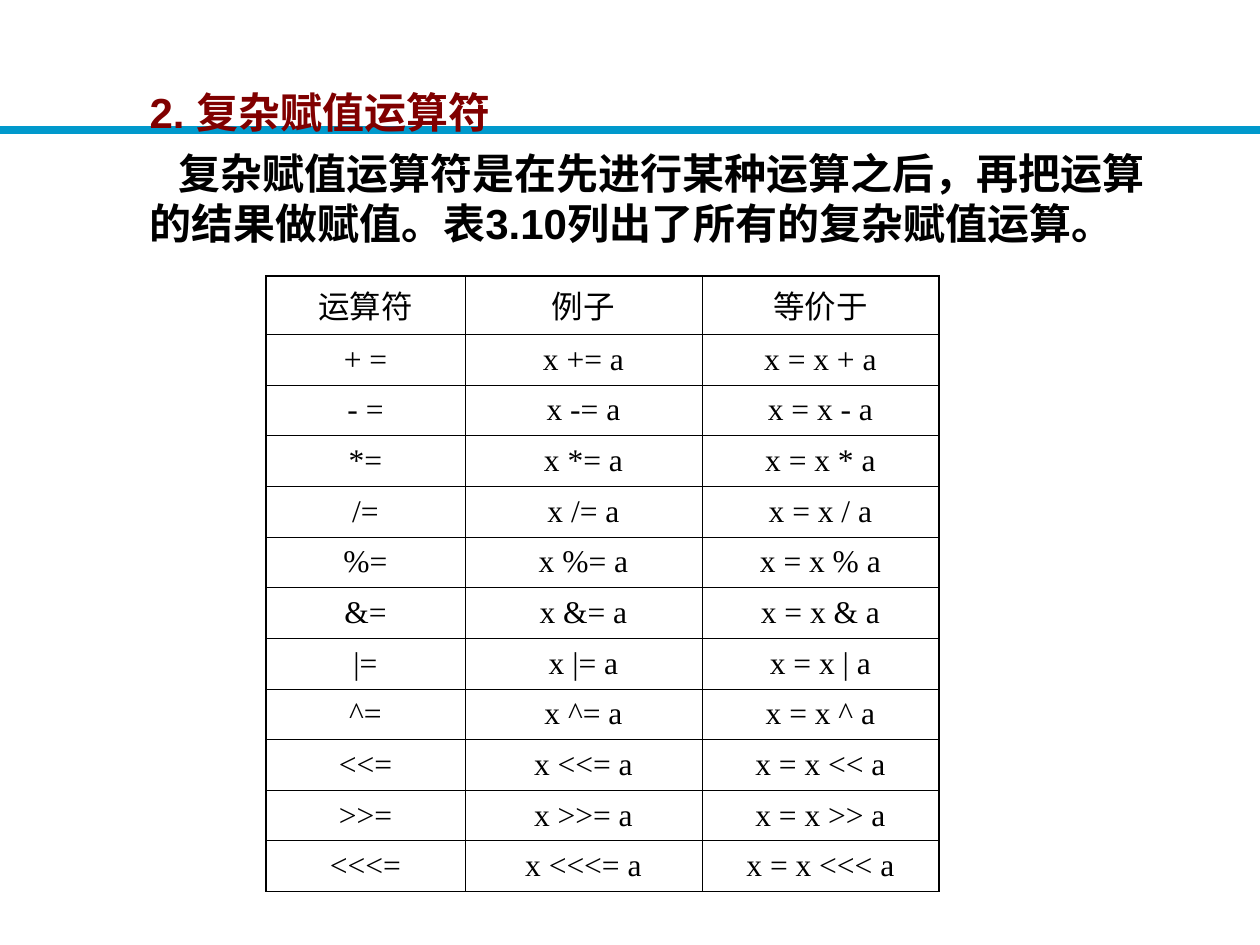
from lxml.etree import SubElement
from pptx import Presentation
from pptx.dml.color import RGBColor
from pptx.enum.shapes import MSO_CONNECTOR as Connector
from pptx.enum.text import MSO_ANCHOR as Anchor, MSO_AUTO_SIZE as AutoSize, PP_ALIGN as Align
from pptx.oxml import parse_xml
from pptx.oxml.ns import nsdecls, qn
from pptx.util import Emu, Pt

PX = 914400 // 126
WIDTH, HEIGHT = 1260, 945
HEADING, INK, RULE = "800000", "000000", "0099CC"
OUTER, HEADER, INNER = 1.08, 0.45, 0.34
OPERATORS = ["+", "-", "*", "/", "%", "&", "|", "^", "<<", ">>", "<<<"]
SPACED = {"+", "-"}


def px(n):
    """Turn pixels into EMU."""
    return Emu(n * PX)


def rgb(code):
    """Turn a hex string into a colour."""
    return RGBColor.from_string(code)


class Deck:
    """Hold the text style and the current slide."""

    def __init__(self, s):
        """Start drawing on a slide."""
        self.s = s
        self.text_font, self.text_size = "Arial", 24
        self.table_font, self.table_size = "Times New Roman", 18

    def style(self, p, font, size, color, bold):
        """Format every run of a paragraph."""
        for r in p.runs:
            r.font.name, r.font.size, r.font.bold = font, Pt(size), bold
            r.font.color.rgb = rgb(color)

    def fill_text(self, sp, text, color, indent=0):
        """Write a bold left-aligned paragraph into a shape."""
        tf = sp.text_frame
        tf.text = text
        tf.word_wrap, tf.auto_size = True, AutoSize.NONE
        tf.vertical_anchor = Anchor.TOP
        p = tf.paragraphs[0]
        p.alignment = Align.LEFT
        p.space_before = Pt(0)
        if indent:
            p._p.get_or_add_pPr().set("indent", str(px(indent)))
        self.style(p, self.text_font, self.text_size, color, True)

    def title(self, text, x, y, w, h):
        """Place the slide title."""
        sp = self.s.shapes.title
        sp.left, sp.top, sp.width, sp.height = map(px, (x, y, w, h))
        self.fill_text(sp, text, HEADING)

    def body(self, text, x, y, w, h, indent):
        """Add a body paragraph with an indented first line."""
        sp = self.s.shapes.add_textbox(*map(px, (x, y, w, h)))
        self.fill_text(sp, text, INK, indent)

    def rule(self, y, weight):
        """Draw a full-width rule behind everything else."""
        c = self.s.shapes.add_connector(Connector.STRAIGHT, 0, px(y), px(WIDTH), px(y))
        c.line.color.rgb, c.line.width = rgb(RULE), Pt(weight)
        SubElement(c._element.spPr, qn("a:effectLst"))
        self.s.shapes._spTree.insert(2, c._element)

    def borders(self, cell, weights):
        """Set the left, right, top and bottom borders of a cell."""
        tcPr = cell._tc.get_or_add_tcPr()
        for i, (side, weight) in enumerate(zip("LRTB", weights)):
            tcPr.insert(i, parse_xml(
                f'<a:ln{side} {nsdecls("a")} w="{int(Pt(weight))}"><a:solidFill>'
                f'<a:srgbClr val="{INK}"/></a:solidFill></a:ln{side}>'))

    def table(self, rows, x, y, widths, h):
        """Add a ruled table of centred text."""
        last_row, last_col = len(rows) - 1, len(widths) - 1
        frame = self.s.shapes.add_table(
            len(rows), len(widths), px(x), px(y), px(sum(widths)), px(h))
        t = frame.table
        t.first_row = t.horz_banding = False
        for column, w in zip(t.columns, widths):
            column.width = px(w)
        for i, row in enumerate(rows):
            for j, text in enumerate(row):
                cell = t.cell(i, j)
                cell.text_frame.text = text
                cell.vertical_anchor = Anchor.MIDDLE
                cell.fill.background()
                p = cell.text_frame.paragraphs[0]
                p.alignment = Align.CENTER
                self.style(p, self.table_font, self.table_size, INK, False)
                inner = HEADER if i == 0 else INNER
                self.borders(cell, (
                    OUTER if j == 0 else inner,
                    OUTER if j == last_col else inner,
                    OUTER if i == 0 else HEADER if i == 1 else INNER,
                    OUTER if i == last_row else inner))


def main():
    """Build the slide on compound assignment operators."""
    prs = Presentation()
    prs.slide_width, prs.slide_height = px(WIDTH), px(HEIGHT)
    deck = Deck(prs.slides.add_slide(prs.slide_layouts[5]))
    deck.rule(130, 4.5)
    deck.title("2. 复杂赋值运算符", 137, 80, 1053, 62)
    deck.body("复杂赋值运算符是在先进行某种运算之后，再把运算的结果做赋值。"
              "表3.10列出了所有的复杂赋值运算。", 137, 141, 1053, 120, 29)
    rows = [("运算符", "例子", "等价于")]
    rows += [(f"{op} =" if op in SPACED else f"{op}=", f"x {op}= a", f"x = x {op} a")
             for op in OPERATORS]
    deck.table(rows, 266, 276, [199, 237, 237], 608)
    prs.save("out.pptx")


if __name__ == "__main__":
    main()
